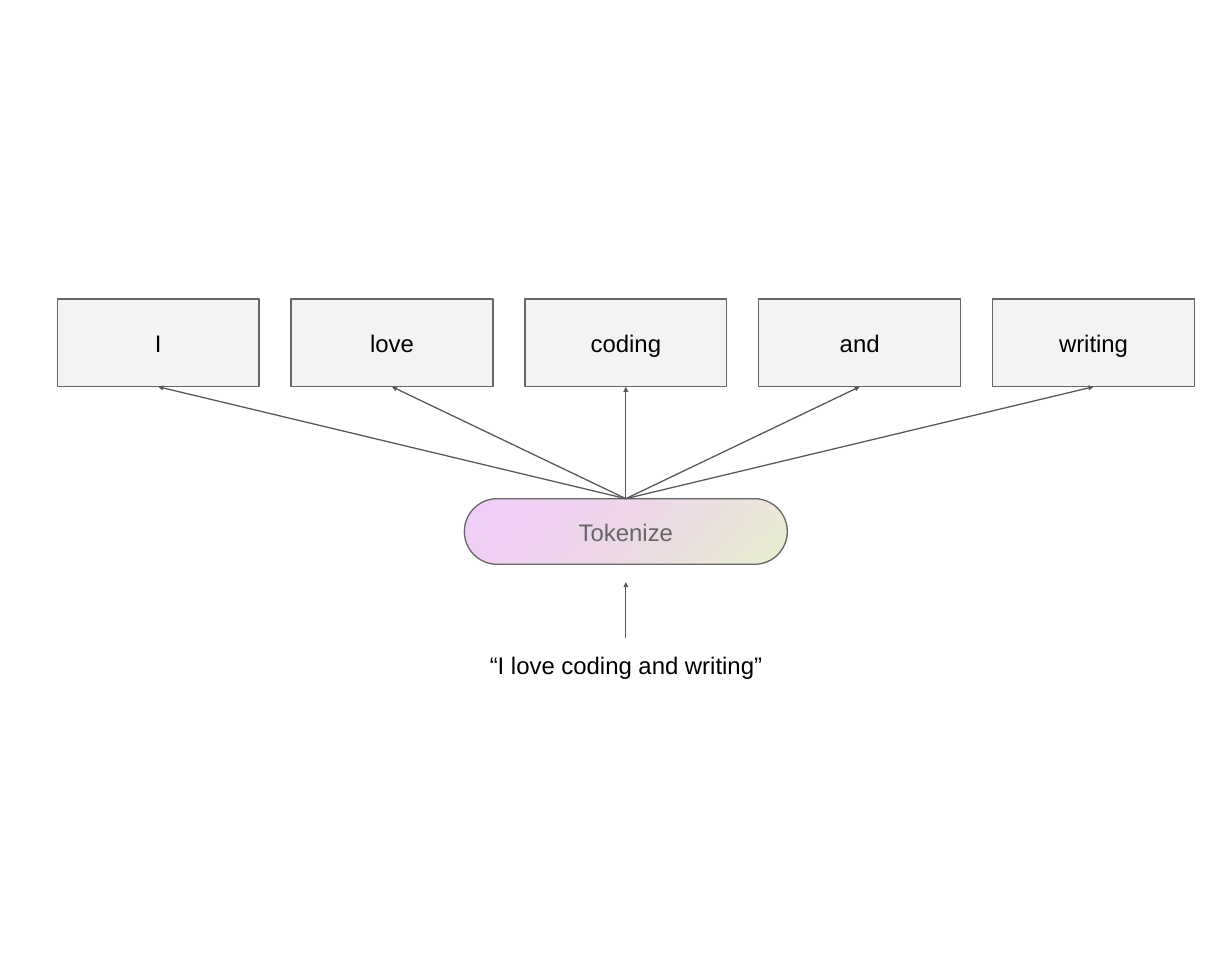
from pptx import Presentation
from pptx.dml.color import RGBColor as RGB
from pptx.enum.shapes import MSO_CONNECTOR as Link, MSO_SHAPE as Kind
from pptx.enum.text import MSO_ANCHOR as Anchor, PP_ALIGN as Align
from pptx.oxml.ns import qn
from pptx.util import Inches, Pt
from lxml.etree import SubElement

WIDE, HIGH = 20.03, 15.77
COLORS = {
    "ink": "000000", "edge": "666666", "arrow": "595959",
    "token": "F3F3F3", "green": "E0EDBA", "pink": "DE87F1",
}
WORDS = ["I", "love", "coding", "and", "writing"]


def color(name):
    return RGB.from_string(COLORS[name])


def write(shape, text, tint="ink", anchor=Anchor.MIDDLE):
    frame = shape.text_frame
    frame.word_wrap = True
    frame.vertical_anchor = anchor
    frame.margin_left = frame.margin_right = Inches(0.2)
    frame.margin_top = frame.margin_bottom = Inches(0.2)
    line = frame.paragraphs[0]
    line.text = text
    line.alignment = Align.CENTER
    line.font.name = "Arial"
    line.font.size = Pt(28)
    line.font.color.rgb = color(tint)


def block(slide, kind, box, text, tint="ink"):
    shape = slide.shapes.add_shape(kind, *map(Inches, box))
    shape.shadow.inherit = False
    shape.line.color.rgb = color("edge")
    shape.line.width = Pt(1.5)
    write(shape, text, tint)
    return shape


def arrow(slide, start, end):
    link = slide.shapes.add_connector(
        Link.STRAIGHT, *map(Inches, (*start, *end)))
    link.line.color.rgb = color("arrow")
    link.line.width = Pt(1.5)
    SubElement(link.line._get_or_add_ln(), qn("a:tailEnd"), type="triangle")
    SubElement(link._element.spPr, qn("a:effectLst"))


def tokens(slide, box):
    """Draw the row of words and return the bottom centre of each."""
    left, top, wide, high = box
    gap = 0.52
    cell = (wide - gap * (len(WORDS) - 1)) / len(WORDS)
    feet = []
    for col, word in enumerate(WORDS):
        x = left + col * (cell + gap)
        shape = block(slide, Kind.RECTANGLE, (x, top, cell, high), word)
        shape.fill.solid()
        shape.fill.fore_color.rgb = color("token")
        feet.append((x + cell / 2, top + high))
    return feet


def pill(slide, box):
    """Draw the tokenizer step with its soft gradient."""
    shape = block(slide, Kind.ROUNDED_RECTANGLE, box, "Tokenize", "edge")
    shape.adjustments[0] = 0.5
    shape.fill.gradient()
    shape.fill.gradient_angle = 135
    for stop, name, place in zip(
            shape.fill.gradient_stops, ("green", "pink"), (0, 1)):
        stop.color.rgb = color(name)
        stop.position = place
    grad = shape._element.spPr.find(qn("a:gradFill"))
    for tone, alpha in zip(grad.iter(qn("a:srgbClr")), (71, 40)):
        SubElement(tone, qn("a:alpha"), val=str(alpha * 1000))


def phrase(slide, box):
    note = slide.shapes.add_textbox(*map(Inches, box))
    write(note, "“I love coding and writing”", anchor=Anchor.TOP)


def diagram(slide, box):
    """Stack phrase, tokenizer and words around one centre line."""
    left, top, wide, high = box
    mid = left + wide / 2
    step = top + high * 0.505
    base = top + high * 0.858
    step_w, base_w = wide * 0.284, wide * 0.277

    # Boxes
    pill(slide, (mid - step_w / 2, step, step_w, high * 0.166))
    feet = tokens(slide, (left, top, wide, high * 0.222))

    # Fan of arrows from the tokenizer to the words
    for foot in feet:
        arrow(slide, (mid, step), foot)

    # Input phrase and its arrow
    phrase(slide, (mid - base_w / 2, base, base_w, high * 0.142))
    arrow(slide, (mid, base), (mid, base - high * 0.142))


def main():
    deck = Presentation()
    deck.slide_width, deck.slide_height = Inches(WIDE), Inches(HIGH)
    slide = deck.slides.add_slide(deck.slide_layouts[6])
    diagram(slide, (0.93, 4.86, 18.49, 6.43))
    deck.save("out.pptx")


if __name__ == "__main__":
    main()
